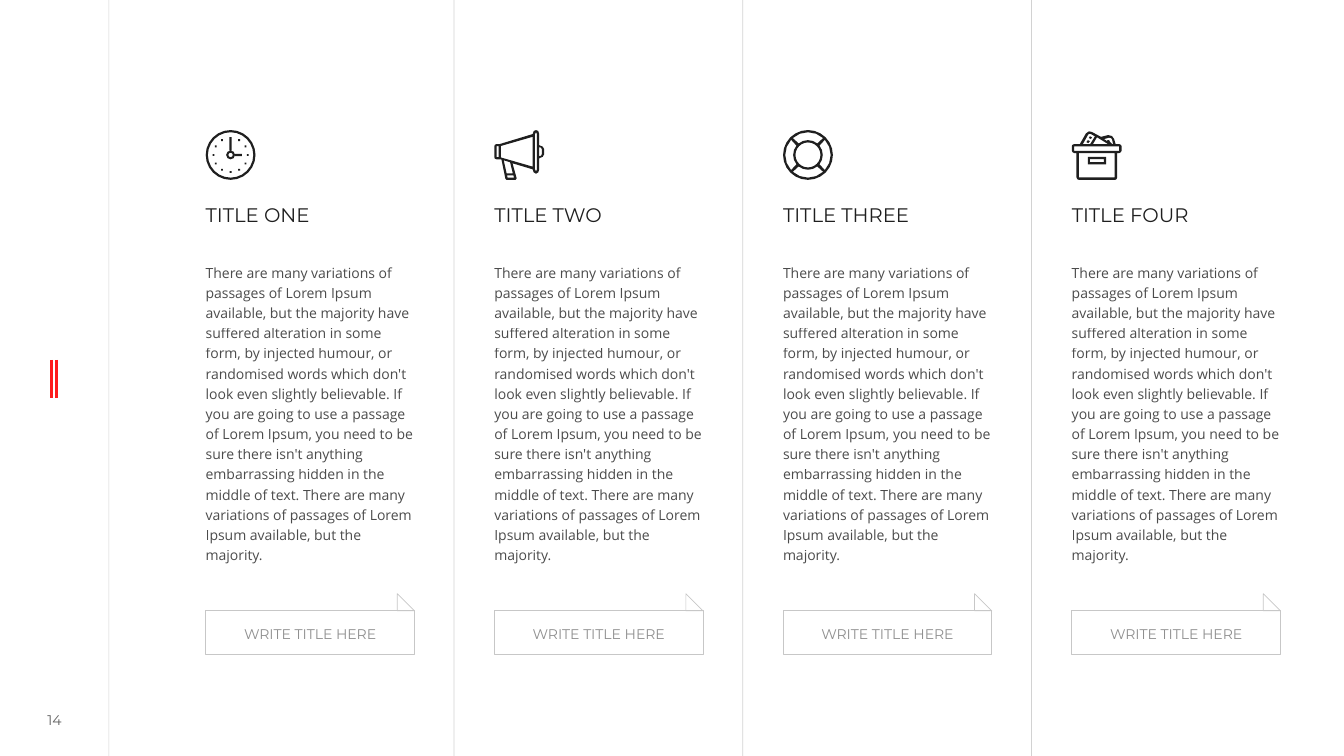
import dataclasses
import math
import typing

import lxml.etree
import pptx
import pptx.dml.color
import pptx.enum.shapes
import pptx.enum.text
import pptx.oxml.ns
import pptx.util

Inches = pptx.util.Inches
Point = tuple[float, float]
Contour = list[Point]

COLORS = {"ink": "1F1F1F", "accent": "FE1C1D", "border": "C7C7C7", "button": "8F8F8F"}
BODY = (
    "There are many variations of passages of Lorem Ipsum available, but the majority have "
    "suffered alteration in some form, by injected humour, or randomised words which don't "
    "look even slightly believable. If you are going to use a passage of Lorem Ipsum, you need "
    "to be sure there isn't anything embarrassing hidden in the middle of text. There are many "
    "variations of passages of Lorem Ipsum available, but the majority."
)
FIRST_LEFT = 2.04
COLUMN_PITCH = 8.59 / 3
COLUMN_WIDTH = 2.07
ICON_TOP = 1.29
ICON_CENTER = 24.7


@dataclasses.dataclass
class Column:
    title: str
    icon: list[Contour]


@dataclasses.dataclass
class Rule:
    x: float
    top: float
    bottom: float
    color: str
    weight: float
    opacity: int = 100


@dataclasses.dataclass
class TextStyle:
    size: float
    font: str
    color: str
    opacity: int = 100
    line_spacing: float = 1.0
    centered: bool = False


PAGE_NUMBER = TextStyle(10, "Montserrat", "ink", opacity=70, centered=True)
HEADING = TextStyle(14, "Montserrat", "ink", line_spacing=0.7)
PASSAGE = TextStyle(10, "Open Sans", "ink", opacity=80, line_spacing=1.2)
BUTTON = TextStyle(10, "Montserrat", "button", centered=True)


def polar(radius: float, degrees: float) -> Point:
    angle = math.radians(degrees)
    return ICON_CENTER + radius * math.cos(angle), ICON_CENTER + radius * math.sin(angle)


def circle(radius: float, sides: int = 24) -> Contour:
    return [polar(radius, 360 * step / sides) for step in range(sides)]


def rectangle(left: float, top: float, right: float, bottom: float) -> Contour:
    return [(left, top), (right, top), (right, bottom), (left, bottom)]


def dot(center: Point) -> Contour:
    x, y = center
    return rectangle(x - 0.9, y - 0.9, x + 0.9, y + 0.9)


def ring_sector(inner: float, outer: float, middle: float) -> Contour:
    far = [polar(outer, middle + 21 * step) for step in range(-2, 3)]
    near = [polar(inner, middle + 19.5 * step) for step in range(2, -3, -1)]
    return far + near


def clock() -> list[Contour]:
    dots = [dot(polar(17, 30 * hour - 90)) for hour in range(1, 12)]
    hands = [rectangle(23.6, 7, 25.8, 20.3), rectangle(29.1, 23.6, 36, 25.8)]
    return [circle(24.7), circle(22.5), circle(4.4, 8), circle(2.2, 8)] + hands + dots


def megaphone() -> list[Contour]:
    silhouette = [
        (44.5, 15), (44.5, 4), (43.5, 1), (41.3, 0), (39, 1), (38, 4), (5, 14), (2, 14),
        (0.5, 14.6), (0, 16), (0, 27), (0.5, 28.5), (2, 29), (7, 29), (11, 48.5), (12, 49.4),
        (21, 49.4), (22.2, 48), (18, 33), (38, 39), (39, 42), (41.3, 43.3), (43.5, 42),
        (44.5, 39), (44.5, 28), (48, 26.5), (49.4, 24), (49.4, 19), (48, 16.5),
    ]
    knob = [(47, 24), (46.4, 25.4), (44.5, 26), (44.5, 17), (46.4, 17.6), (47, 19)]
    rim = [(42.3, 39), (41.3, 41), (40.3, 39), (40.3, 4), (41.3, 2.2), (42.3, 4)]
    horn = [(38, 36.3), (6.5, 27.2), (6.5, 15.8), (38, 6.7)]
    leg = [(18.3, 43), (12.2, 43), (9.3, 30), (15.6, 32)]
    foot = [(19.5, 47.2), (13.1, 47.2), (12.6, 45), (18.9, 45)]
    return [silhouette, knob, rim, horn, leg, foot, rectangle(2.2, 16, 4.3, 27)]


def lifebuoy() -> list[Contour]:
    sectors = [ring_sector(14.7, 22.5, 90 * quarter) for quarter in range(4)]
    return [circle(24.7), circle(12.4)] + sectors


def ticket_box() -> list[Contour]:
    silhouette = [
        (47, 14), (43.5, 14), (42, 9), (40, 6), (36, 5), (29, 6.8), (20, 2), (17, 1.3),
        (14, 3.5), (8, 14), (2.5, 14), (0.7, 14.7), (0, 16), (0, 20.5), (0.7, 22), (2.5, 23),
        (4.7, 23), (4.7, 47), (5.5, 48.8), (7, 49.4), (43, 49.4), (44.5, 48.8), (45, 47),
        (45, 23), (47, 23), (48.7, 22), (49.4, 20.5), (49.4, 16), (48.7, 14.7),
    ]
    front_ticket = [(16, 5), (17, 3.8), (19, 4), (23, 6.3), (18.3, 14), (11, 14)]
    middle_ticket = [(36, 14), (21, 14), (25, 7.2)]
    back_ticket = [(37, 7.6), (39, 8), (40, 9.5), (41, 14), (40, 14), (38, 12), (37, 10),
                   (35.5, 10), (35, 11), (32, 9)]
    holes = [[(18, 11), (16, 10), (14.5, 12), (16.5, 13)],
             [(20, 7.2), (18, 6.2), (17, 8), (19, 9)]]
    panels = [rectangle(2.3, 16.3, 47.1, 20.7), rectangle(7, 23, 42.6, 47.1)]
    handle = [rectangle(16, 26.8, 34, 34), rectangle(18, 29, 31.8, 31.8)]
    return [silhouette, front_ticket, middle_ticket, back_ticket] + holes + panels + handle


COLUMNS = [
    Column("TITLE ONE", clock()),
    Column("TITLE TWO", megaphone()),
    Column("TITLE THREE", lifebuoy()),
    Column("TITLE FOUR", ticket_box()),
]


def rgb(name: str) -> pptx.dml.color.RGBColor:
    return pptx.dml.color.RGBColor.from_string(COLORS[name])


def set_opacity(element: typing.Any, percent: int) -> None:
    if percent < 100:
        for color in element.iter(pptx.oxml.ns.qn("a:srgbClr")):
            alpha = lxml.etree.SubElement(color, pptx.oxml.ns.qn("a:alpha"))
            alpha.set("val", str(percent * 1000))


def draw_rule(page: typing.Any, rule: Rule) -> None:
    line = page.shapes.add_connector(
        pptx.enum.shapes.MSO_CONNECTOR.STRAIGHT,
        Inches(rule.x), Inches(rule.top), Inches(rule.x), Inches(rule.bottom))
    line.line.color.rgb = rgb(rule.color)
    line.line.width = pptx.util.Pt(rule.weight)
    properties = line._element.spPr
    set_opacity(properties, rule.opacity)
    lxml.etree.SubElement(properties, pptx.oxml.ns.qn("a:effectLst"))


def write(box: typing.Any, text: str, style: TextStyle, margins: tuple[float, ...]) -> None:
    frame = box.text_frame
    frame.word_wrap = True
    sides = [Inches(margin) for margin in margins]
    frame.margin_left, frame.margin_top, frame.margin_right, frame.margin_bottom = sides
    frame.text = text
    para = frame.paragraphs[0]
    para.line_spacing = style.line_spacing
    align = pptx.enum.text.PP_ALIGN
    para.alignment = align.CENTER if style.centered else align.LEFT
    if style.centered:
        frame.vertical_anchor = pptx.enum.text.MSO_ANCHOR.MIDDLE
    span = para.runs[0]
    span.font.size = pptx.util.Pt(style.size)
    span.font.name = style.font
    span.font.color.rgb = rgb(style.color)
    set_opacity(span._r, style.opacity)


def draw_text(page: typing.Any, text: str, style: TextStyle, left: float, top: float,
              width: float, height: float, padding: float = 0.05) -> None:
    box = page.shapes.add_textbox(Inches(left), Inches(top), Inches(width), Inches(height))
    write(box, text, style, (0, padding, 0, padding))
    if not style.centered:
        box.text_frame.auto_size = pptx.enum.text.MSO_AUTO_SIZE.SHAPE_TO_FIT_TEXT


def draw_icon(page: typing.Any, contours: list[Contour], left: float) -> None:
    first, *others = [[(Inches(left + x / 100), Inches(ICON_TOP + y / 100)) for x, y in contour]
                      for contour in contours]
    builder = page.shapes.build_freeform(*first[0], scale=1.0)
    builder.add_line_segments(first[1:], close=True)
    for outline in others:
        builder.move_to(*outline[0])
        builder.add_line_segments(outline[1:], close=True)
    icon = builder.convert_to_shape()
    icon.shadow.inherit = False
    icon.fill.solid()
    icon.fill.fore_color.rgb = rgb("ink")
    icon.line.fill.background()


def draw_button(page: typing.Any, left: float) -> None:
    group = page.shapes.add_group_shape()
    kinds = pptx.enum.shapes.MSO_SHAPE
    label = group.shapes.add_shape(
        kinds.RECTANGLE, Inches(left), Inches(6.06), Inches(COLUMN_WIDTH), Inches(0.43))
    fold = group.shapes.add_shape(
        kinds.RIGHT_TRIANGLE, Inches(left + 1.9), Inches(5.89), Inches(0.17), Inches(0.17))
    for shape in (label, fold):
        shape.shadow.inherit = False
        shape.fill.background()
        shape.line.color.rgb = rgb("border")
        shape.line.width = pptx.util.Pt(0.5)
    write(label, "WRITE TITLE HERE", BUTTON, (0.1, 0.07, 0.1, 0.05))


def main() -> None:
    deck = pptx.Presentation()
    deck.slide_width, deck.slide_height = Inches(13.33), Inches(7.5)
    page = deck.slides.add_slide(deck.slide_layouts[6])
    draw_rule(page, Rule(1.08, 0, 7.5, "ink", 0.5, 20))
    for x in (0.51, 0.56):
        draw_rule(page, Rule(x, 3.57, 3.95, "accent", 2))
    draw_text(page, "14", PAGE_NUMBER, 0.26, 7.02, 0.56, 0.25, padding=0)
    for index, column in enumerate(COLUMNS):
        left = FIRST_LEFT + index * COLUMN_PITCH
        if index:
            draw_rule(page, Rule(left - 0.4, 0, 7.5, "ink", 0.5, 20))
        draw_icon(page, column.icon, left)
        draw_text(page, column.title, HEADING, left, 2.03, 2.08, 0.28)
        draw_text(page, BODY, PASSAGE, left, 2.54, COLUMN_WIDTH, 3.13)
        draw_button(page, left)
    deck.save("out.pptx")


if __name__ == "__main__":
    main()
